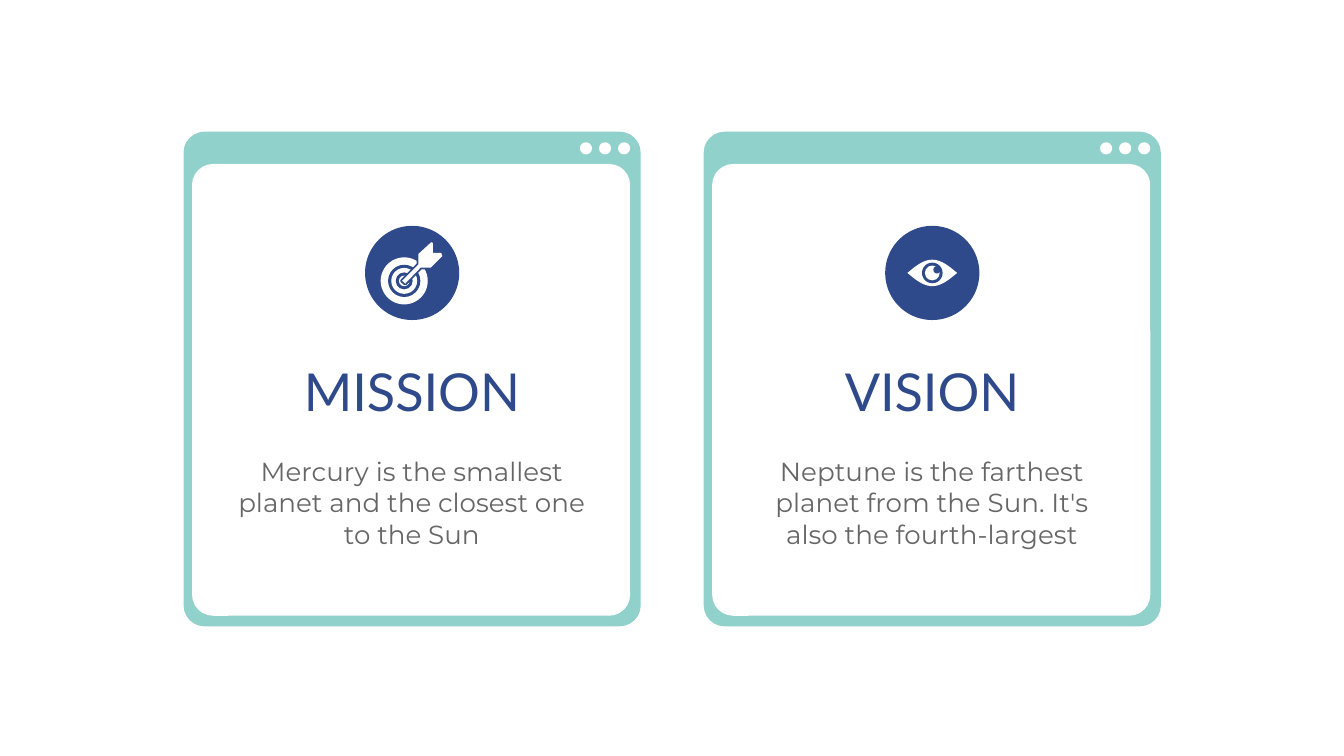
from math import cos, pi

from pptx import Presentation
from pptx.dml.color import RGBColor
from pptx.enum.shapes import MSO_SHAPE
from pptx.enum.text import MSO_ANCHOR, PP_ALIGN
from pptx.util import Cm, Pt

ROUNDED = MSO_SHAPE.ROUNDED_RECTANGLE
OVAL = MSO_SHAPE.OVAL
CENTER = PP_ALIGN.CENTER
TOP = MSO_ANCHOR.TOP

COLORS = {"teal": "90D1CB", "white": "FFFFFF", "navy": "2F4A8A", "gray": "666666"}

presentation = Presentation()
presentation.slide_width = Cm(25.4)
presentation.slide_height = Cm(14.29)
slide = presentation.slides.add_slide(presentation.slide_layouts[6])


def add_text(text, left, top, width, height, font, size, color):
    box = slide.shapes.add_textbox(Cm(left), Cm(top), Cm(width), Cm(height))
    frame = box.text_frame
    frame.word_wrap = True
    frame.vertical_anchor = TOP
    frame.margin_left = frame.margin_right = Cm(0.25)
    frame.margin_top = frame.margin_bottom = Cm(0.25)
    paragraph = frame.paragraphs[0]
    paragraph.text = text
    paragraph.alignment = CENTER
    paragraph.font.name = font
    paragraph.font.size = Pt(size)
    paragraph.font.color.rgb = RGBColor.from_string(COLORS[color])


def paint(shape, color):
    shape.shadow.inherit = False
    shape.fill.solid()
    shape.fill.fore_color.rgb = RGBColor.from_string(COLORS[color])
    shape.line.fill.background()


cards = [
    ("MISSION", "Mercury is the smallest planet and the closest one to the Sun"),
    ("VISION", "Neptune is the farthest planet from the Sun. It's also the fourth-largest"),
]
card_left, card_pitch, card_width = 3.47, 9.83, 8.64

for index, (title, description) in enumerate(cards):
    left = card_left + index * card_pitch
    panels = [
        (left, 2.49, card_width, 9.35, 0.046, "teal"),
        (left + 0.16, 3.1, 8.28, 8.54, 0.048, "white"),
    ]
    for x, y, width, height, rounding, color in panels:
        panel = slide.shapes.add_shape(ROUNDED, Cm(x), Cm(y), Cm(width), Cm(height))
        panel.adjustments[0] = rounding
        paint(panel, color)
    for step in range(3):
        dot_left = left + 8.21 - step * 0.36
        dot = slide.shapes.add_shape(OVAL, Cm(dot_left), Cm(2.69), Cm(0.23), Cm(0.23))
        paint(dot, "white")
    badge = slide.shapes.add_shape(OVAL, Cm(left + 3.43), Cm(4.27), Cm(1.78), Cm(1.78))
    paint(badge, "navy")
    add_text(title, left=left + 0.76, top=6.55, width=7.11, height=1.3,
             font="Lato", size=28, color="navy")
    add_text(description, left=left + 0.76, top=8.36, width=7.11, height=2.44,
             font="Montserrat", size=14, color="gray")

dart_points = [
    (8.15, 4.58), (7.91, 4.8), (7.91, 5.0), (7.6, 5.31), (7.66, 5.36), (7.95, 5.06),
    (8.14, 5.06), (8.36, 4.84), (8.34, 4.78), (8.18, 4.78), (8.18, 4.59),
]
eye_x, eye_y = 17.62, 5.16
steps = [step / 12 for step in range(-12, 13)]
upper_lid = [(eye_x + 0.47 * t, eye_y - 0.25 * cos(t * pi / 2)) for t in steps]
lower_lid = [(x, 2 * eye_y - y) for x, y in reversed(upper_lid)]

target_rings = [(0.89, "white"), (0.61, "navy"), (0.49, "white"), (0.32, "navy"), (0.2, "white")]
eye_rings = [(eye_x, eye_y, 0.39, "navy"), (eye_x, eye_y, 0.28, "white"), (17.71, 5.1, 0.14, "navy")]
icons = [
    ([(7.64, 5.31, diameter, color) for diameter, color in target_rings], dart_points, False),
    (eye_rings, upper_lid + lower_lid, True),
]
for rings, outline, outline_first in icons:
    layers = [("ring", ring) for ring in rings]
    outline_position = 0 if outline_first else len(layers)
    layers.insert(outline_position, ("outline", outline))
    for kind, layer in layers:
        if kind == "ring":
            x, y, diameter, color = layer
            ring = slide.shapes.add_shape(OVAL, Cm(x - diameter / 2), Cm(y - diameter / 2),
                                          Cm(diameter), Cm(diameter))
            paint(ring, color)
        else:
            points = [(Cm(x), Cm(y)) for x, y in layer]
            builder = slide.shapes.build_freeform(*points[0])
            builder.add_line_segments(points[1:], close=True)
            if not outline_first:
                halo = builder.convert_to_shape()
                paint(halo, "navy")
                halo.line.color.rgb = RGBColor.from_string(COLORS["navy"])
                halo.line.width = Pt(2)
            paint(builder.convert_to_shape(), "white")

presentation.save("out.pptx")
